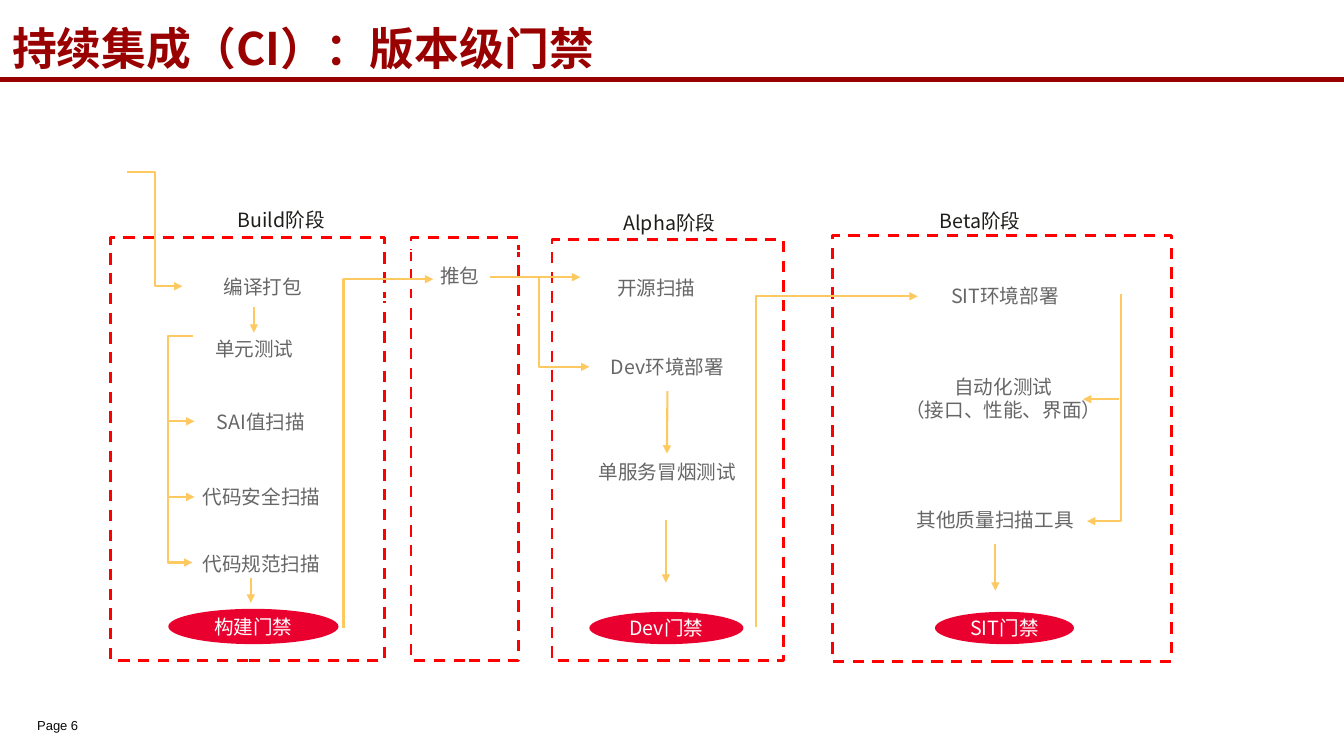
"""Build the slide on release gates in continuous integration."""
from dataclasses import dataclass
from typing import Optional

from lxml.etree import SubElement
from pptx import Presentation
from pptx.dml.color import RGBColor
from pptx.enum.dml import MSO_LINE as Dash
from pptx.enum.shapes import MSO_CONNECTOR as Link, MSO_SHAPE as Kind
from pptx.enum.text import MSO_ANCHOR as Anchor, PP_ALIGN as Align
from pptx.oxml.ns import qn
from pptx.util import Inches, Pt

SANS = "Noto Sans CJK SC"
DARK, RED, GATE = "990000", "FF0000", "EA002F"
GOLD, GREY, INK, WHITE = "FDC960", "666666", "1D1D1A", "FFFFFF"


@dataclass
class Box:
    x: float
    y: float
    w: float
    h: float
    text: str = ""


@dataclass
class Arrow:
    x: float
    y: float
    to_x: float
    to_y: float
    bend: Optional[float] = None
    start: str = ""


EARLY = [Box(1.1, 2.36, 2.72, 4.19), Box(4.08, 2.36, 1.07, 4.19)]
LATE = [Box(5.48, 2.38, 2.3, 4.17), Box(8.26, 2.34, 3.37, 4.22)]
STEPS = [
    Box(1.81, 2.6, 1.6, 0.48, "编译打包"),
    Box(1.78, 3.22, 1.49, 0.48, "单元测试"),
    Box(1.78, 3.94, 1.62, 0.48, "SAI值扫描"),
    Box(1.69, 4.69, 1.81, 0.48, "代码安全扫描"),
    Box(1.71, 5.35, 1.77, 0.48, "代码规范扫描"),
    Box(3.63, 2.49, 1.87, 0.48, "推包"),
    Box(5.1, 2.61, 2.83, 0.48, "开源扫描"),
    Box(5.63, 3.4, 1.99, 0.48, "Dev环境部署"),
    Box(5.63, 4.35, 1.99, 0.66, "单服务冒烟测试"),
    Box(9.2, 2.69, 1.55, 0.48, "SIT环境部署"),
    Box(8.39, 3.55, 3.14, 0.8, "自动化测试\n（接口、性能、界面）"),
    Box(8.31, 4.92, 3.14, 0.48, "其他质量扫描工具"),
]
GATES = [
    Box(1.67, 6.04, 1.69, 0.35, "构建门禁"),
    Box(5.85, 6.07, 1.53, 0.32, "Dev门禁"),
    Box(9.28, 6.07, 1.38, 0.32, "SIT门禁"),
]
STAGES = [
    Box(2.26, 2.01, 2.42, 0.34, "Build阶段"),
    Box(6.09, 2.04, 3.38, 0.34, "Alpha阶段"),
    Box(9.23, 2.02, 3.38, 0.34, "Beta阶段"),
]
ARROWS = [
    Arrow(1.26, 1.71, 1.81, 2.84, bend=1.54),
    Arrow(2.52, 3.05, 2.52, 3.3),
    Arrow(1.92, 3.33, 1.91, 5.58, bend=1.66),
    Arrow(1.68, 4.18, 1.93, 4.18),
    Arrow(1.67, 4.93, 1.93, 4.93),
    Arrow(2.49, 5.73, 2.49, 5.98),
    Arrow(3.41, 6.23, 4.3, 2.77, bend=3.41),
    Arrow(5.34, 2.75, 5.76, 2.75),
    Arrow(4.86, 2.75, 5.85, 3.64, bend=5.35),
    Arrow(6.62, 3.88, 6.62, 4.5, start="Dev环境部署"),
    Arrow(6.61, 5.16, 6.61, 5.78),
    Arrow(7.5, 6.22, 9.11, 2.94, bend=7.5),
    Arrow(11.13, 2.92, 10.79, 5.17, bend=11.13),
    Arrow(11.11, 3.96, 10.75, 3.96),
    Arrow(9.88, 5.4, 9.88, 5.86, start="其他质量扫描工具"),
]


def paint(color, tone: str) -> None:
    """Set a colour from a hex string."""
    color.rgb = RGBColor.from_string(tone)


def place(box: Box) -> list:
    """Give the left, top, width and height of a box."""
    return [Inches(n) for n in (box.x, box.y, box.w, box.h)]


def write(shape, text: str, size: float, tone: str, face: str = SANS,
          align=Align.LEFT, bold: bool = False) -> None:
    """Fill a shape with text in one style."""
    frame = shape.text_frame
    frame.word_wrap = True
    frame.text = text
    for para in frame.paragraphs:
        para.alignment = align
        font = para.font
        font.name, font.size, font.bold = face, Pt(size), bold
        paint(font.color, tone)
        props = para._p.find(".//" + qn("a:defRPr"))
        SubElement(props, qn("a:ea")).set("typeface", face)


def label(slide, box: Box, size: float, tone: str, **style):
    """Add a text box."""
    shape = slide.shapes.add_textbox(*place(box))
    write(shape, box.text, size, tone, **style)
    return shape


def block(slide, box: Box, kind=Kind.RECTANGLE, fill: str = "",
          edge: str = "", ink: str = GREY):
    """Add a filled or outlined shape with centred text."""
    shape = slide.shapes.add_shape(kind, *place(box))
    shape.shadow.inherit = False
    if fill:
        shape.fill.solid()
        paint(shape.fill.fore_color, fill)
    else:
        shape.fill.background()
    if edge:
        paint(shape.line.color, edge)
        shape.line.width = Pt(2)
    else:
        shape.line.fill.background()
    if box.text:
        write(shape, box.text, 14, ink, align=Align.CENTER)
        shape.text_frame.vertical_anchor = Anchor.MIDDLE
    return shape


def panel(slide, box: Box) -> None:
    """Add the dashed frame of a stage."""
    block(slide, box, edge=RED).line.dash_style = Dash.DASH


def wire(slide, arrow: Arrow, tone: str, width: float):
    """Add a straight or elbow line."""
    kind = Link.STRAIGHT if arrow.bend is None else Link.ELBOW
    ends = (arrow.x, arrow.y, arrow.to_x, arrow.to_y)
    line = slide.shapes.add_connector(kind, *map(Inches, ends))
    paint(line.line.color, tone)
    line.line.width = Pt(width)
    props = line._element.spPr
    SubElement(props, qn("a:effectLst"))
    if arrow.bend is not None:
        ratio = (arrow.bend - arrow.x) / (arrow.to_x - arrow.x)
        guide = SubElement(props.find(".//" + qn("a:avLst")), qn("a:gd"))
        guide.set("name", "adj1")
        guide.set("fmla", f"val {round(ratio * 100000)}")
    return line


def point(slide, arrow: Arrow, steps: dict) -> None:
    """Add a gold arrow, joined to its step if it has one."""
    line = wire(slide, arrow, GOLD, 1.5)
    pen = line._element.spPr.find(qn("a:ln"))
    SubElement(pen, qn("a:tailEnd")).set("type", "triangle")
    if arrow.start:
        line.begin_connect(steps[arrow.start], 2)


def main() -> None:
    """Draw the slide and save it."""
    deck = Presentation()
    deck.slide_width, deck.slide_height = Inches(13.34), Inches(7.5)
    slide = deck.slides.add_slide(deck.slide_layouts[6])

    page = label(slide, Box(0.37, 7.1, 0.63, 0.2, "Page 6"), 9.3, "080808", face="Arial")
    frame = page.text_frame
    frame.margin_left = frame.margin_right = 0
    frame.margin_top = frame.margin_bottom = 0
    frame.vertical_anchor = Anchor.MIDDLE

    title = Box(0, 0, 11.3, 0.95, "持续集成（CI）：版本级门禁")
    frame = label(slide, title, 32, DARK, bold=True).text_frame
    frame.margin_left = frame.margin_right = Inches(0.12)
    frame.vertical_anchor = Anchor.MIDDLE
    wire(slide, Arrow(0, 0.79, 13.34, 0.79), DARK, 3.25)

    for box in EARLY:
        panel(slide, box)
    steps = {box.text: block(slide, box, edge=WHITE) for box in STEPS}
    for box in LATE:
        panel(slide, box)
    for box in STAGES:
        stage = label(slide, box, 14, INK)
        stage.text_frame.paragraphs[0].space_before = Pt(4.5)
    for box in GATES:
        block(slide, box, Kind.OVAL, fill=GATE, ink=WHITE)
    for arrow in ARROWS:
        point(slide, arrow, steps)
    deck.save("out.pptx")


if __name__ == "__main__":
    main()
